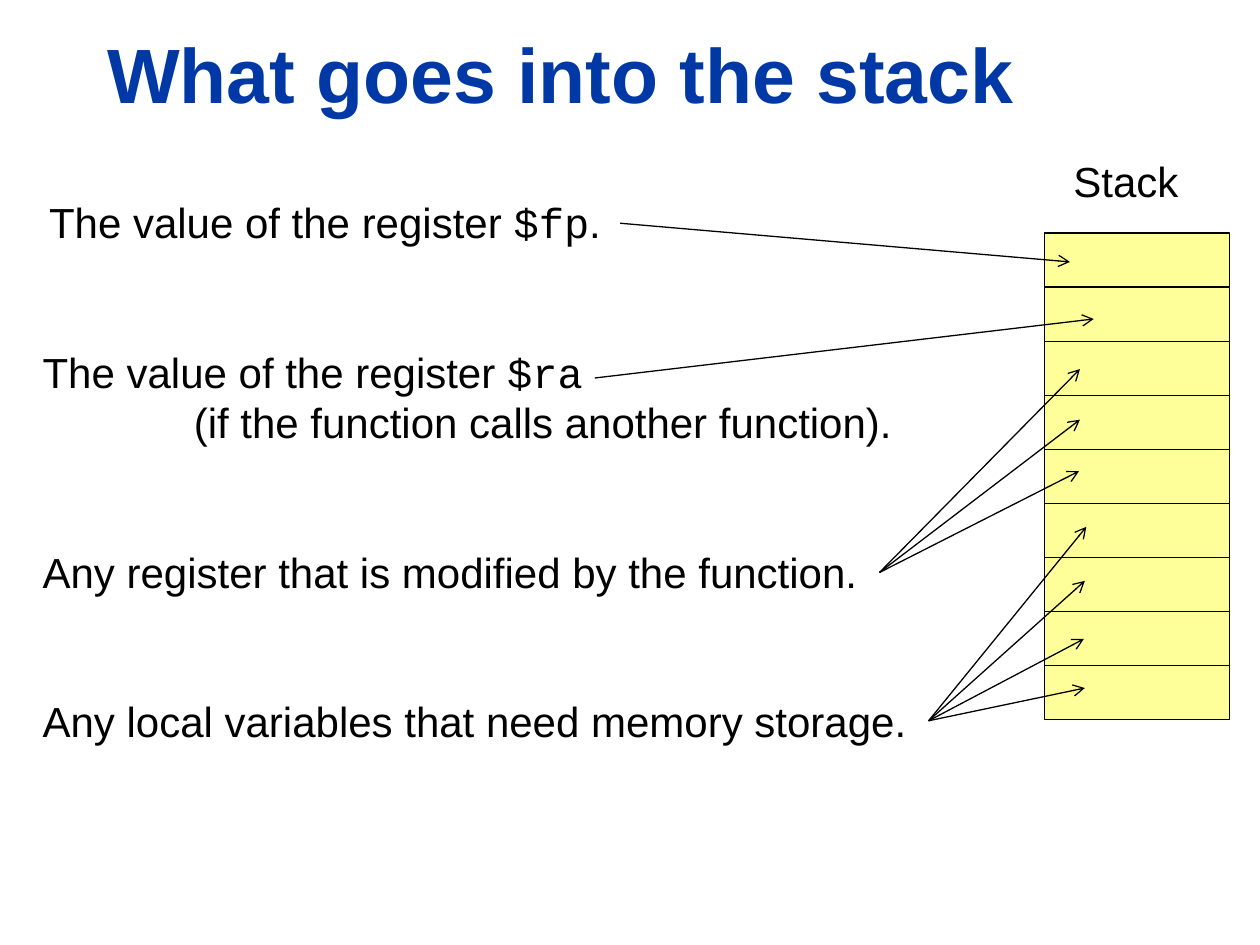
from dataclasses import dataclass

from pptx import Presentation
from pptx.dml.color import RGBColor
from pptx.enum.shapes import MSO_CONNECTOR, MSO_SHAPE
from pptx.enum.text import MSO_ANCHOR, PP_ALIGN
from pptx.oxml.ns import qn
from pptx.util import Cm, Pt

RECT = MSO_SHAPE.RECTANGLE
STRAIGHT = MSO_CONNECTOR.STRAIGHT
BOTTOM = MSO_ANCHOR.BOTTOM
LEFT = PP_ALIGN.LEFT
TITLE_ONLY = 5


@dataclass(frozen=True)
class Theme:
    title: RGBColor = RGBColor(0x00, 0x39, 0xA6)
    ink: RGBColor = RGBColor(0x00, 0x00, 0x00)
    cell: RGBColor = RGBColor(0xFF, 0xFF, 0x99)
    font: str = "Arial"
    code_font: str = "Courier New"
    title_size: Pt = Pt(44)
    text_size: Pt = Pt(24)
    line_width: Pt = Pt(0.75)


THEME = Theme()
CELL_COUNT = 9
SECOND_LINE_INDENT = Cm(3.05)

# All boxes are left, top, width, height in centimetres.
TITLE_BOX = (1.91, 0.41, 22.94, 2.11)
STACK_BOX = (21.06, 4.7, 3.73, 9.81)

# Box, lines of runs, arrow start within the box, arrow tips within the stack.
# A run starting with "$" is a register name.
NOTES = [
    ((0.74, 3.84, 11.73, 1.27),
     [["The value of the register ", "$fp", "."]],
     (11.76, 0.66), [(0.51, 0.58)]),
    ((0.61, 6.86, 17.81, 2.31),
     [["The value of the register ", "$ra"],
      ["(if the function calls another function)."]],
     (11.38, 0.76), [(0.99, 1.73)]),
    ((0.61, 10.9, 17.15, 1.27),
     [["Any register that is modified by the function."]],
     (17.12, 0.64), [(0.71, 2.74), (0.71, 3.76), (0.69, 4.8)]),
    ((0.61, 13.89, 18.14, 1.27),
     [["Any local variables that need memory storage."]],
     (18.11, 0.64), [(0.84, 5.92), (0.81, 7.01), (0.79, 8.18), (0.81, 9.17)]),
]


def lengths(values):
    return [Cm(value) for value in values]


def add_run(paragraph, text, size, color, font):
    run = paragraph.add_run()
    run.text = text
    run.font.size = size
    run.font.name = font
    run.font.color.rgb = color
    return run


def add_title(slide, box, text):
    title = slide.shapes.title
    title.left, title.top, title.width, title.height = lengths(box)
    frame = title.text_frame
    frame.vertical_anchor = BOTTOM
    heading = frame.paragraphs[0]
    heading.alignment = LEFT
    run = add_run(heading, text, THEME.title_size, THEME.title, THEME.font)
    run.font.bold = True


def add_text(slide, box, lines):
    """Place unwrapped lines of runs, with each line after the first indented."""
    frame = slide.shapes.add_textbox(*lengths(box)).text_frame
    frame.word_wrap = False
    for number, runs in enumerate(lines):
        line = frame.add_paragraph() if number else frame.paragraphs[0]
        if number:
            line._p.get_or_add_pPr().set("marL", str(SECOND_LINE_INDENT))
        for text in runs:
            font = THEME.code_font if text.startswith("$") else THEME.font
            add_run(line, text, THEME.text_size, THEME.ink, font)


def add_stack(slide, box):
    left, top, width, height = box
    add_text(slide, (left + 0.33, top - 1.68, 2.64, 1.27), [["Stack"]])
    cell_height = height / CELL_COUNT
    for row in range(CELL_COUNT):
        cell = slide.shapes.add_shape(
            RECT, *lengths((left, top + row * cell_height, width, cell_height)))
        cell.shadow.inherit = False
        cell.fill.solid()
        cell.fill.fore_color.rgb = THEME.cell
        cell.line.color.rgb = THEME.ink
        cell.line.width = THEME.line_width


def add_arrow(slide, start, tip):
    arrow = slide.shapes.add_connector(STRAIGHT, *lengths(start + tip))
    arrow.line.color.rgb = THEME.ink
    arrow.line.width = THEME.line_width
    properties = arrow._element.spPr
    head = properties.get_or_add_ln().makeelement(qn("a:tailEnd"), {"type": "arrow"})
    properties.get_or_add_ln().append(head)
    properties.append(properties.makeelement(qn("a:effectLst"), {}))


def add_note(slide, box, stack_box, lines, start, tips):
    """Place a note and its arrows into the stack."""
    add_text(slide, box, lines)
    for tip in tips:
        add_arrow(slide, (box[0] + start[0], box[1] + start[1]),
                  (stack_box[0] + tip[0], stack_box[1] + tip[1]))


def main():
    presentation = Presentation()
    presentation.slide_width, presentation.slide_height = Cm(25.4), Cm(19.05)
    slide = presentation.slides.add_slide(presentation.slide_layouts[TITLE_ONLY])
    add_title(slide, TITLE_BOX, "What goes into the stack")
    add_stack(slide, STACK_BOX)
    for box, lines, start, tips in NOTES:
        add_note(slide, box, STACK_BOX, lines, start, tips)
    presentation.save("out.pptx")


if __name__ == "__main__":
    main()
